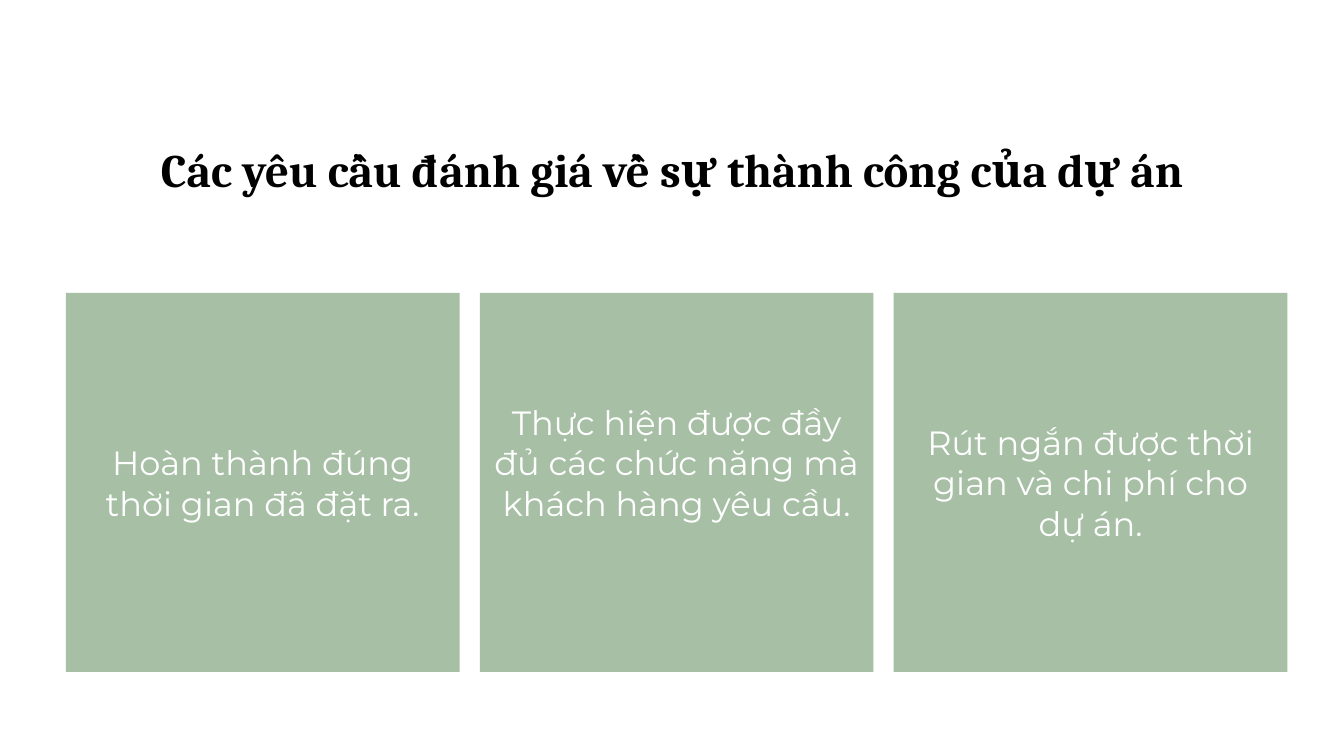
from dataclasses import dataclass

import pptx
import pptx.dml.color
import pptx.enum.shapes
import pptx.enum.text
import pptx.util
from pptx.util import Inches

TITLE = "Các yêu cầu đánh giá về sự thành công của dự án"
# Card text, and the number of text lines it is raised by at the bottom
CARDS = [
    ("Hoàn thành đúng thời gian đã đặt ra.", 0),
    ("Thực hiện được đầy đủ các chức năng mà khách hàng yêu cầu.", 1),
    ("Rút ngắn được thời gian và chi phí cho dự án.", 0),
]


@dataclass(frozen=True)
class Theme:
    card: str = "A6BFA5"
    card_text: str = "FFFFFF"
    title_text: str = "000000"
    title_font: str = "Cambria"
    body_font: str = "Montserrat"
    title_size: int = 25
    body_size: int = 18


THEME = Theme()
SLIDE_WIDTH = 10
SLIDE_HEIGHT = SLIDE_WIDTH * 9 / 16
GRID_LEFT, GRID_RIGHT, GRID_TOP = 0.49, 9.58, 2.18
CARD_HEIGHT, GAP = 2.82, 0.15
INSET, LINE_HEIGHT = 0.1, 0.3


def rgb(value):
    return pptx.dml.color.RGBColor.from_string(value)


def write(shape, text, font, size, color, anchor, bold=False, raised_lines=0):
    frame = shape.text_frame
    frame.word_wrap = True
    frame.auto_size = pptx.enum.text.MSO_AUTO_SIZE.NONE
    frame.vertical_anchor = anchor
    frame.margin_left = frame.margin_right = frame.margin_top = Inches(INSET)
    frame.margin_bottom = Inches(INSET + raised_lines * LINE_HEIGHT)
    frame.text = text
    para = frame.paragraphs[0]
    para.alignment = pptx.enum.text.PP_ALIGN.CENTER
    para.line_spacing = 1.0
    para.font.name = font
    para.font.size = pptx.util.Pt(size)
    para.font.bold = bold
    para.font.color.rgb = rgb(color)


def add_title(slide):
    title = slide.shapes.title
    width = 8.54
    title.left, title.top = Inches((SLIDE_WIDTH - width) / 2), Inches(0.95)
    title.width, title.height = Inches(width), Inches(0.7)
    write(title, TITLE, THEME.title_font, THEME.title_size, THEME.title_text,
          pptx.enum.text.MSO_ANCHOR.TOP, bold=True)


def add_cards(slide):
    count = len(CARDS)
    width = (GRID_RIGHT - GRID_LEFT - (count - 1) * GAP) / count
    for column, (text, raised_lines) in enumerate(CARDS):
        card = slide.shapes.add_shape(
            pptx.enum.shapes.MSO_SHAPE.RECTANGLE,
            Inches(GRID_LEFT + column * (width + GAP)), Inches(GRID_TOP),
            Inches(width), Inches(CARD_HEIGHT))
        card.shadow.inherit = False
        card.fill.solid()
        card.fill.fore_color.rgb = rgb(THEME.card)
        card.line.fill.background()
        write(card, text, THEME.body_font, THEME.body_size, THEME.card_text,
              pptx.enum.text.MSO_ANCHOR.MIDDLE, raised_lines=raised_lines)


def main():
    deck = pptx.Presentation()
    deck.slide_width = Inches(SLIDE_WIDTH)
    deck.slide_height = Inches(SLIDE_HEIGHT)
    slide = deck.slides.add_slide(deck.slide_layouts.get_by_name("Title Only"))
    add_title(slide)
    add_cards(slide)
    deck.save("out.pptx")


if __name__ == "__main__":
    main()
